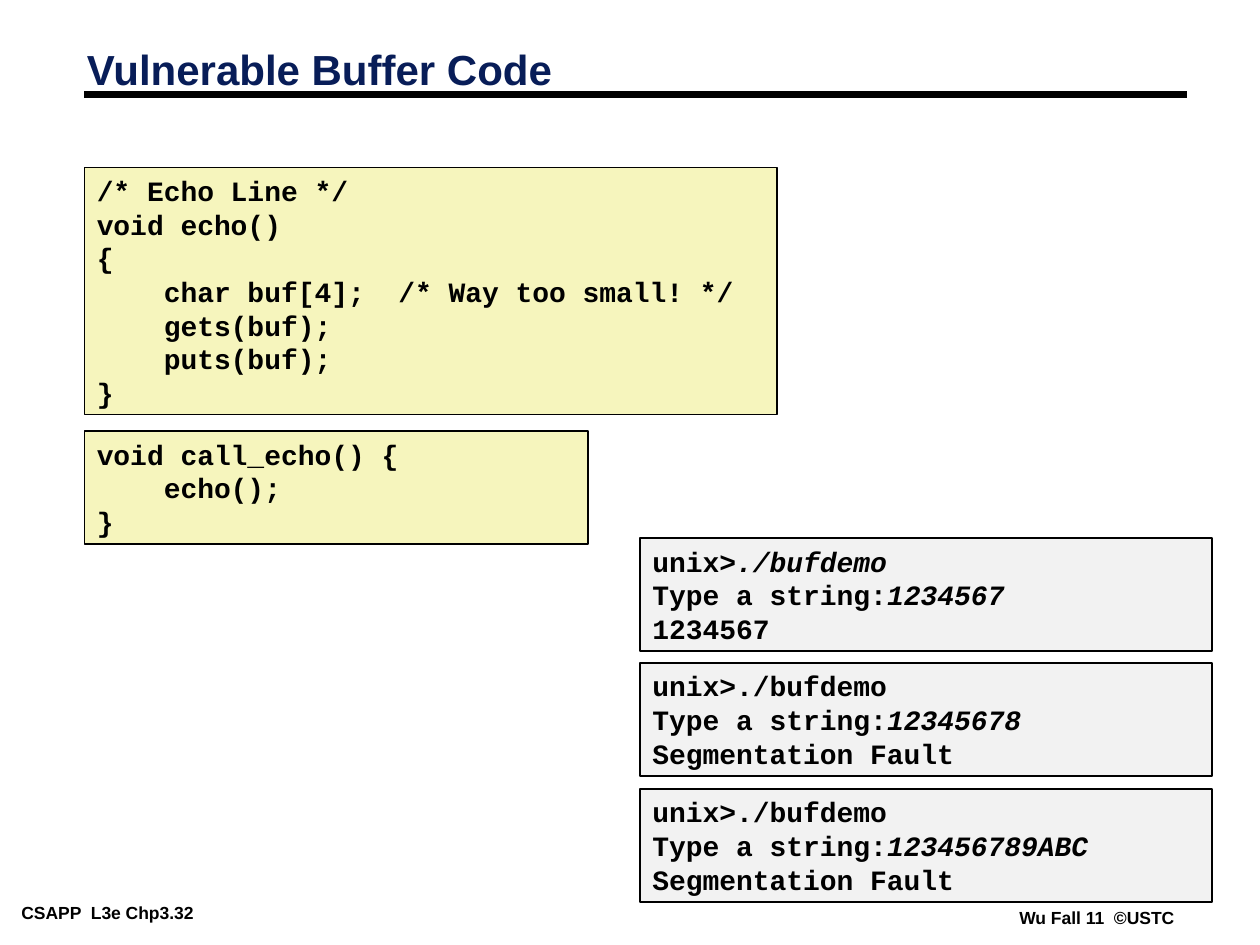
from dataclasses import dataclass

from pptx import Presentation
from pptx import util as u
from pptx.dml.color import RGBColor
from pptx.enum import shapes, text
from pptx.oxml.ns import qn
from lxml import etree

BLACK = "000000"
NAVY = "081D58"
CODE_FILL = "F6F5BD"
TERMINAL_FILL = "F2F2F2"
TERMINAL_TOPS = (4.27, 5.26, 6.26)


@dataclass(frozen=True)
class Line:
    printed: str
    typed: str = ""


@dataclass(frozen=True)
class Panel:
    left: float
    top: float
    width: float
    height: float
    fill: str
    lines: tuple[Line, ...]


@dataclass(frozen=True)
class Footer:
    left: float
    top: float
    width: float
    words: str


def colour(value: str) -> RGBColor:
    return RGBColor.from_string(value)


def set_font(paragraph, name: str, size: int, value: str) -> None:
    font = paragraph.font
    font.name, font.size, font.bold = name, u.Pt(size), True
    font.color.rgb = colour(value)


def set_margins(frame, horizontal: float, vertical: float) -> None:
    frame.margin_left = frame.margin_right = u.Inches(horizontal)
    frame.margin_top = frame.margin_bottom = u.Inches(vertical)


def place(shape, left: float, top: float, width: float, height: float) -> None:
    shape.left, shape.top = u.Inches(left), u.Inches(top)
    shape.width, shape.height = u.Inches(width), u.Inches(height)


def draw_title(slide, words: str) -> None:
    title = slide.shapes.title
    place(title, 0.59, 0.35, 5.05, 0.45)
    frame = title.text_frame
    frame.text = words
    frame.word_wrap = True
    frame.auto_size = text.MSO_AUTO_SIZE.SHAPE_TO_FIT_TEXT
    frame.vertical_anchor = text.MSO_ANCHOR.MIDDLE
    set_margins(frame, 0.1, 0.05)
    paragraph = frame.paragraphs[0]
    paragraph.alignment = text.PP_ALIGN.LEFT
    paragraph.line_spacing = 0.87
    set_font(paragraph, "Arial", 24, NAVY)


def draw_rule(slide) -> None:
    rule = slide.shapes.add_connector(
        shapes.MSO_CONNECTOR.STRAIGHT,
        u.Inches(0.67), u.Inches(0.75), u.Inches(9.42), u.Inches(0.75),
    )
    rule.line.color.rgb = colour(BLACK)
    rule.line.width = u.Pt(4.5)
    etree.SubElement(rule._element.spPr, qn("a:effectLst"))


def draw_panel(slide, panel: Panel) -> None:
    shape = slide.shapes.add_shape(shapes.MSO_SHAPE.RECTANGLE, 0, 0, 0, 0)
    place(shape, panel.left, panel.top, panel.width, panel.height)
    shape.shadow.inherit = False
    shape.fill.solid()
    shape.fill.fore_color.rgb = colour(panel.fill)
    shape.line.color.rgb = colour(BLACK)
    shape.line.width = u.Pt(1)
    frame = shape.text_frame
    frame.word_wrap = True
    frame.auto_size = text.MSO_AUTO_SIZE.SHAPE_TO_FIT_TEXT
    frame.vertical_anchor = text.MSO_ANCHOR.TOP
    set_margins(frame, 0.1, 0.05)
    for index, line in enumerate(panel.lines):
        paragraph = frame.add_paragraph() if index else frame.paragraphs[0]
        paragraph.alignment = text.PP_ALIGN.LEFT
        set_font(paragraph, "Courier New", 16, BLACK)
        paragraph.add_run().text = line.printed
        if line.typed:
            run = paragraph.add_run()
            run.text = line.typed
            run.font.italic = True


def draw_footer(slide, footer: Footer) -> None:
    box = slide.shapes.add_textbox(0, 0, 0, 0)
    place(box, footer.left, footer.top, footer.width, 0.22)
    frame = box.text_frame
    frame.text = footer.words
    frame.word_wrap = False
    frame.auto_size = text.MSO_AUTO_SIZE.SHAPE_TO_FIT_TEXT
    set_margins(frame, 0.07, 0.03)
    set_font(frame.paragraphs[0], "Arial", 10, BLACK)


def code(source: str) -> tuple[Line, ...]:
    return tuple(Line(row) for row in source.split("\n"))


ECHO = """/* Echo Line */
void echo()
{
    char buf[4];  /* Way too small! */
    gets(buf);
    puts(buf);
}"""

CALL_ECHO = """void call_echo() {
    echo();
}"""

SESSIONS = (
    (Line("unix>", "./bufdemo"), "1234567", "1234567"),
    (Line("unix>./bufdemo"), "12345678", "Segmentation Fault"),
    (Line("unix>./bufdemo"), "123456789ABC", "Segmentation Fault"),
)

FOOTERS = (
    Footer(0.1, 7.13, 2.02, "CSAPP  L3e Chp3.32"),
    Footer(8.02, 7.17, 1.38, "Wu Fall 11  ©USTC"),
)


def main() -> None:
    presentation = Presentation()
    presentation.slide_width = u.Inches(10)
    presentation.slide_height = u.Inches(7.5)
    slide = presentation.slides.add_slide(presentation.slide_layouts[5])

    for footer in FOOTERS:
        draw_footer(slide, footer)
    draw_rule(slide)
    draw_title(slide, "Vulnerable Buffer Code")
    draw_panel(slide, Panel(0.67, 3.42, 4, 0.9, CODE_FILL, code(CALL_ECHO)))
    draw_panel(slide, Panel(0.67, 1.33, 5.5, 1.96, CODE_FILL, code(ECHO)))
    for top, (command, typed, result) in zip(TERMINAL_TOPS, SESSIONS):
        lines = (command, Line("Type a string:", typed), Line(result))
        draw_panel(slide, Panel(5.08, top, 4.54, 0.9, TERMINAL_FILL, lines))

    presentation.save("out.pptx")


if __name__ == "__main__":
    main()
